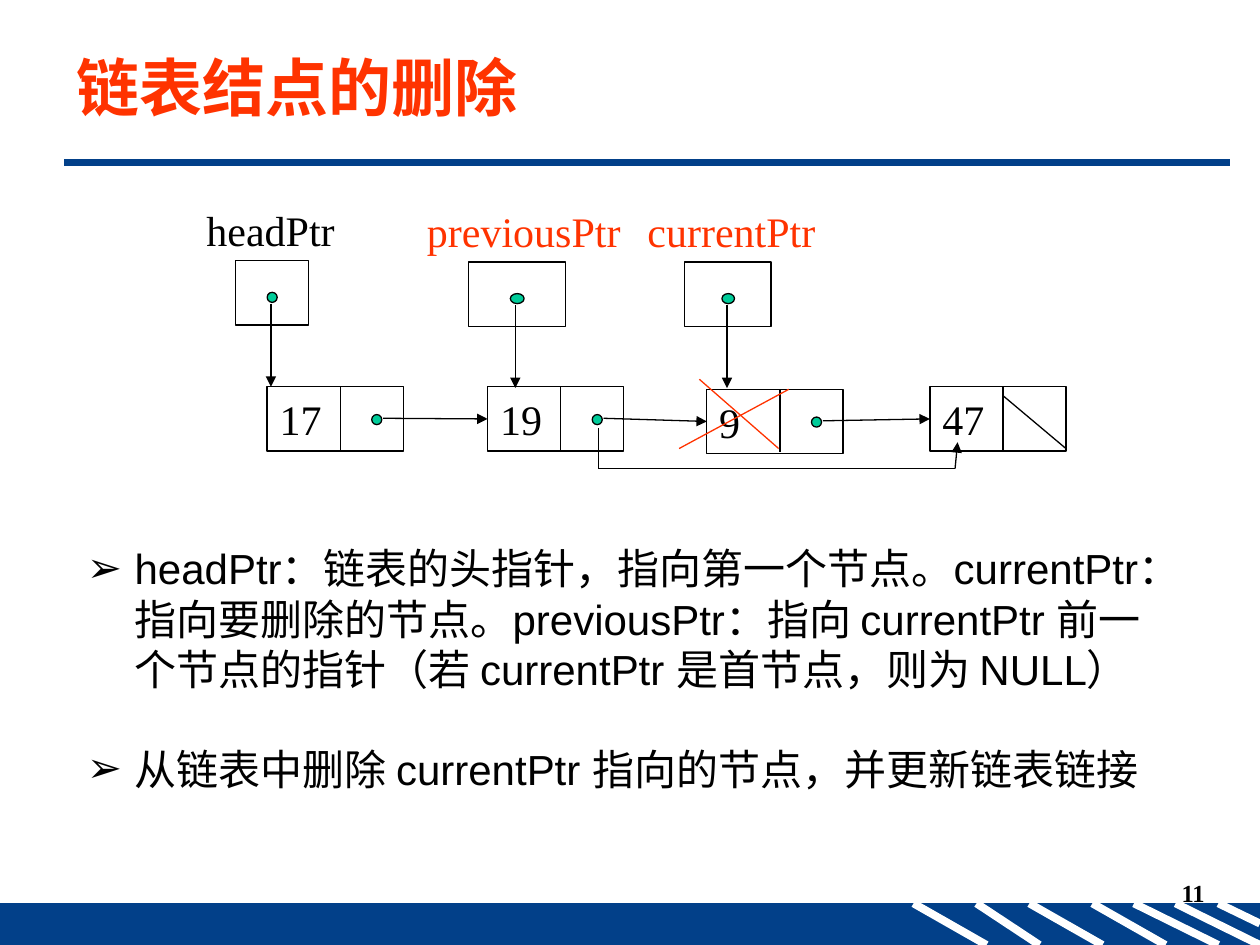
from lxml import etree
from pptx import Presentation
from pptx import util as u
from pptx.dml.color import RGBColor
from pptx.enum import shapes, text
from pptx.oxml.ns import qn

NAVY, RED, GREEN, BLACK, WHITE = "024089", "FF3300", "00CC99", "000000", "FFFFFF"
SERIF, SANS, HAN = "Times New Roman", "Arial", "Noto Sans CJK SC"
MID, TOP = text.MSO_ANCHOR.MIDDLE, text.MSO_ANCHOR.TOP


def color(code):
    return RGBColor.from_string(code)


def inches(*nums):
    return [u.Inches(n) for n in nums]


class Sketch:
    """Draws elements on one slide in a shared style."""

    def __init__(self, slide):
        self.slide = slide
        self.items = slide.shapes

    def shape(self, kind, box, fill=None, line=BLACK):
        item = self.items.add_shape(kind, *inches(*box))
        item.shadow.inherit = False
        if fill:
            item.fill.solid()
            item.fill.fore_color.rgb = color(fill)
        else:
            item.fill.background()
        item.line.color.rgb = color(line)
        item.line.width = u.Pt(0.75)
        return item

    def rect(self, *box, fill=None, line=BLACK):
        return self.shape(shapes.MSO_SHAPE.RECTANGLE, box, fill, line)

    def dot(self, x, y, wide=0.08):
        return self.shape(shapes.MSO_SHAPE.OVAL, (x, y, wide, 0.08), GREEN)

    def line(self, x1, y1, x2, y2, tint=BLACK, width=0.75, arrow=False):
        item = self.items.add_connector(
            shapes.MSO_CONNECTOR.STRAIGHT, *inches(x1, y1, x2, y2))
        item.line.color.rgb = color(tint)
        item.line.width = u.Pt(width)
        props = item._element.spPr
        if arrow:
            etree.SubElement(props.get_or_add_ln(), qn("a:tailEnd"), type="triangle")
        etree.SubElement(props, qn("a:effectLst"))
        return item

    def letter(self, item, lines, size=24, font=SERIF, tint=BLACK, bold=False,
               anchor=MID, align=text.PP_ALIGN.LEFT, wrap=True, bullet=None, gap=0):
        """Put styled paragraphs into a shape."""
        frame = item.text_frame
        frame.word_wrap = wrap
        frame.vertical_anchor = anchor
        frame.text = "\n".join(lines)
        for i, para in enumerate(frame.paragraphs):
            para.alignment = align
            if i:
                para.space_before = u.Pt(gap)
            if bullet:
                props = para._p.get_or_add_pPr()
                props.set("marL", str(u.Inches(0.38)))
                props.set("indent", str(u.Inches(-0.38)))
                etree.SubElement(props, qn("a:buFont"), typeface=SANS)
                etree.SubElement(props, qn("a:buChar"), char=bullet)
            for run in para.runs:
                run.font.size = u.Pt(size)
                run.font.name = font
                run.font.bold = bold
                run.font.color.rgb = color(tint)
                etree.SubElement(run._r.get_or_add_rPr(), qn("a:ea"), typeface=HAN)

    def label(self, box, *lines, **style):
        self.letter(self.items.add_textbox(*inches(*box)), lines, **style)

    def node(self, x, y, value):
        """A list node: a value cell and a link cell."""
        item = self.rect(x, y, 1.08, 0.51)
        self.letter(item, [value])
        self.line(x + 0.58, y, x + 0.58, y + 0.5)
        return item

    def link(self, x, y, node):
        """A dot in a link cell and an arrow to the next node."""
        arrow = self.line(x + 0.92, y + 0.25, x + 1.75, y + 0.25, arrow=True)
        arrow.end_connect(node, 1)
        self.dot(x + 0.83, y + 0.22)

    def pointer(self, name, tint, box, left, wide, dot, size, tip):
        """A named pointer cell with an arrow down to a node."""
        x, y, w = box
        self.rect(x, y, w, 0.51)
        self.label((left, y - 0.5, wide, 0.5), name, tint=tint, wrap=False)
        self.dot(dot, y + 0.25, size)
        self.line(tip, y + 0.34, tip, y + 1, arrow=True)


def main():
    deck = Presentation()
    deck.slide_width, deck.slide_height = inches(10, 7.5)
    art = Sketch(deck.slides.add_slide(deck.slide_layouts[6]))

    art.rect(0, 7.17, 10, 0.33, fill=NAVY, line=NAVY)
    stripes = [(7.25, 7.83), (7.75, 8.25), (8.17, 8.75), (8.67, 9.25), (9, 9.67), (9.33, 10)]
    for start, end in stripes:
        art.line(start, 7.17, end, 7.5, WHITE, 4.5)
    art.line(9.67, 7.17, 10, 7.33, WHITE, 4.5)
    art.line(0.51, 1.29, 9.76, 1.29, NAVY, 4.5)
    art.label((7.58, 6.92, 2.08, 0.5), "11", size=14, bold=True,
              anchor=TOP, align=text.PP_ALIGN.RIGHT)

    spots = [(2.12, 3.07, "17"), (3.87, 3.07, "19"), (5.61, 3.09, "9"), (7.38, 3.07, "47")]
    nodes = [art.node(*spot) for spot in spots]
    for (x, y, _), after in zip(spots, nodes[1:]):
        art.link(x, y, after)
    art.line(7.96, 3.14, 8.46, 3.56)

    art.pointer("headPtr", BLACK, (1.87, 2.07, 0.58), 1.54, 1.33, 2.12, 0.08, 2.15)
    art.pointer("previousPtr", RED, (3.72, 2.08, 0.77), 3.29, 1.75, 4.05, 0.11, 4.09)
    art.pointer("currentPtr", RED, (5.43, 2.08, 0.69), 5.04, 1.58, 5.73, 0.1, 5.77)

    # New link that skips the deleted node
    art.line(4.75, 3.4, 4.75, 3.72)
    art.line(4.75, 3.72, 7.58, 3.72)
    art.line(7.58, 3.72, 7.6, 3.51, arrow=True)
    # Cross over the deleted node
    art.line(6.26, 3.09, 5.39, 3.56, RED)
    art.line(5.55, 3.01, 6.18, 3.56, RED)

    art.label((0.51, 0.29, 9.29, 0.79), "链表结点的删除",
              size=36, font=HAN, tint=RED, bold=True)
    art.label((0.59, 4.26, 8.88, 2.52),
              "headPtr：链表的头指针，指向第一个节点。currentPtr：指向要删除的节点。"
              "previousPtr：指向 currentPtr 前一个节点的指针（若 currentPtr 是首节点，则为 NULL）",
              "从链表中删除 currentPtr 指向的节点，并更新链表链接",
              font=SANS, anchor=TOP, bullet="➢", gap=28)
    deck.save("out.pptx")


if __name__ == "__main__":
    main()
